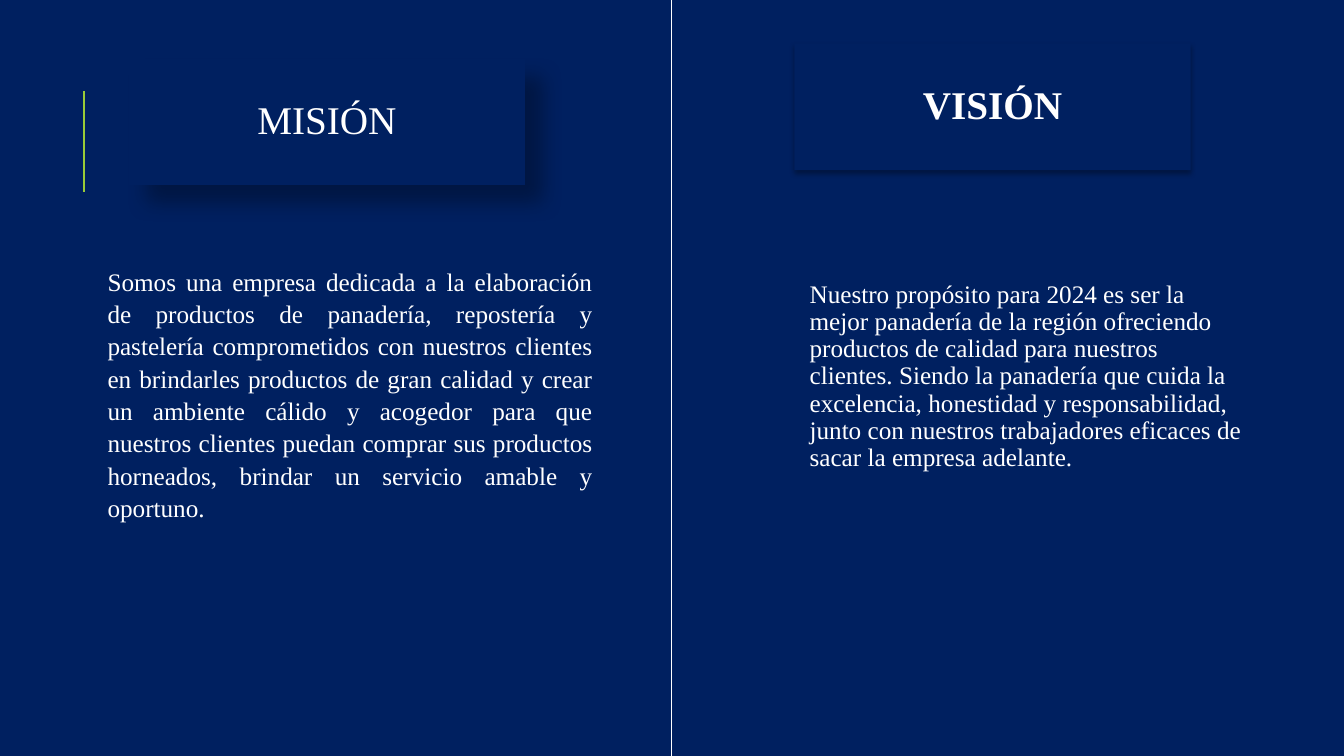
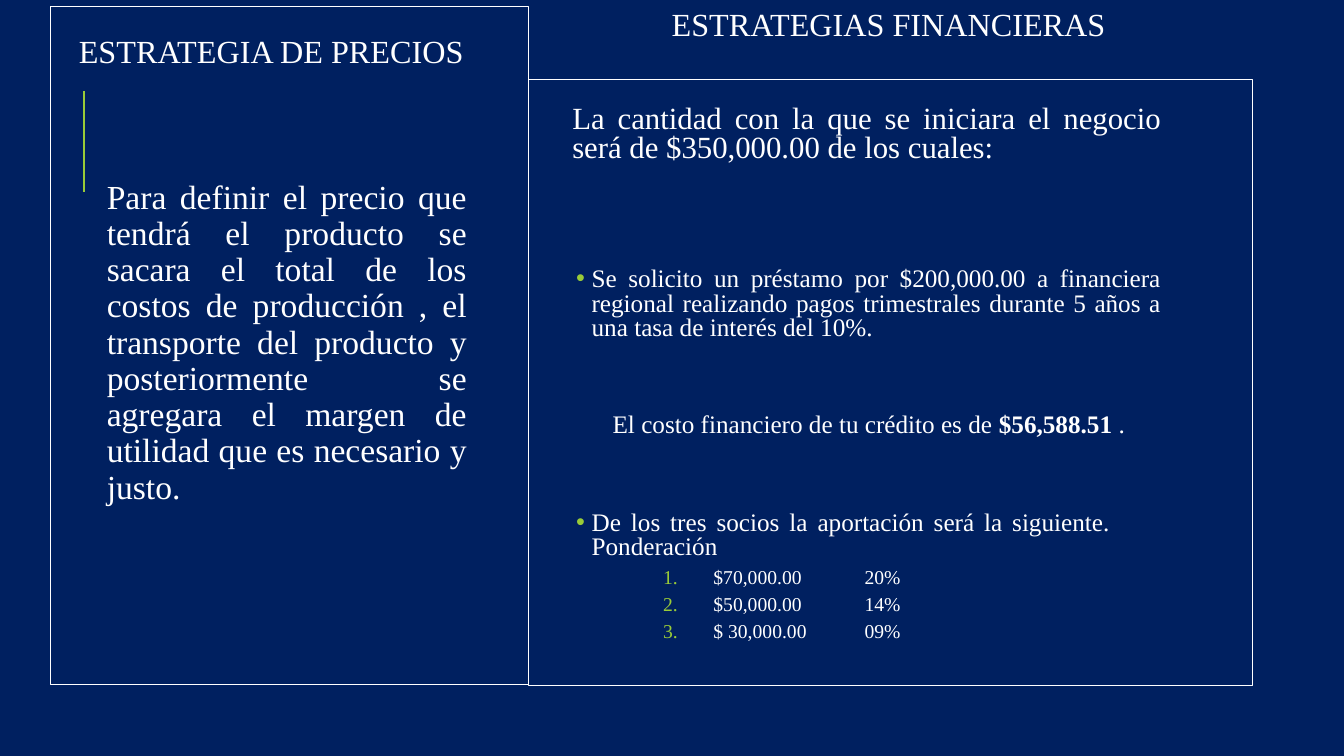
from lxml import etree
from pptx import Presentation
from pptx.dml.color import RGBColor
from pptx.enum.shapes import MSO_CONNECTOR, MSO_SHAPE
from pptx.enum.text import MSO_ANCHOR as ANCHOR, MSO_AUTO_SIZE, PP_ALIGN as ALIGN
from pptx.oxml.ns import qn
from pptx.util import Pt

NAVY, WHITE, GREEN, BLACK = "002060", "FFFFFF", "99CB38", "000000"
FONT = "Times New Roman"

# Content
MISSION = (
    "Somos una empresa dedicada a la elaboración de productos de panadería, "
    "repostería y pastelería comprometidos con nuestros clientes en brindarles "
    "productos de gran calidad y crear un ambiente cálido y acogedor para que "
    "nuestros clientes puedan comprar sus productos horneados, brindar un "
    "servicio amable y oportuno."
)
VISION = (
    "Nuestro propósito para 2024 es ser la mejor panadería de la región "
    "ofreciendo productos de calidad para nuestros clientes. Siendo la panadería "
    "que cuida la excelencia, honestidad y responsabilidad, junto con nuestros "
    "trabajadores eficaces de sacar la empresa adelante."
)
PRICING = (
    "Para definir el precio que tendrá el producto se sacara el total de los "
    "costos de producción , el transporte del producto y posteriormente se "
    "agregara el margen de utilidad que es necesario y justo."
)
FUNDS = "La cantidad con la que se iniciara el negocio será de $350,000.00 de los cuales:"
LOAN = (
    "Se solicito un préstamo por $200,000.00 a financiera regional realizando "
    "pagos trimestrales durante 5 años a una tasa de interés del 10%."
)
COST = [("El costo financiero de tu crédito es de ", False),
        ("$56,588.51 ", True), (".", False)]
PARTNERS = "De los tres socios la aportación será la siguiente.\t\tPonderación"
SHARES = [("$70,000.00", "20%"), ("$50,000.00", "14%"), ("$ 30,000.00", "09%")]

# Paragraph kinds: left margin, first-line indent, bullet
PLAIN = (0, 0, None)
LEAD = (7.2, 0, None)
BULLET = (21, -11, ("buChar", {"char": "•"}))
INSET = (36, 0, None)
NUMBERED = (108, -36, ("buAutoNum", {"type": "arabicPeriod"}))


def rgb(value):
    return RGBColor.from_string(value)


def set_shadow(shape, alpha, blur, distance, angle):
    effects = etree.SubElement(shape._element.spPr, qn("a:effectLst"))
    outer = etree.SubElement(
        effects, qn("a:outerShdw"), blurRad=str(Pt(blur)), dist=str(Pt(distance)),
        dir=str(angle * 60000), algn="ctr", rotWithShape="0")
    color = etree.SubElement(outer, qn("a:srgbClr"), val=BLACK)
    etree.SubElement(color, qn("a:alpha"), val=str(alpha * 1000))


def place(shape, box):
    shape.left, shape.top, shape.width, shape.height = map(Pt, box)


def set_frame(shape, anchor, side, edge=3.6):
    frame = shape.text_frame
    frame.word_wrap = True
    frame.auto_size = MSO_AUTO_SIZE.NONE
    frame.vertical_anchor = anchor
    frame.margin_left = frame.margin_right = Pt(side)
    frame.margin_top = frame.margin_bottom = Pt(edge)
    return frame


def write(paragraph, text, size, kind=PLAIN, align=ALIGN.LEFT, spacing=0.9,
          before=0, after=0, bold=False):
    margin, indent, bullet = kind
    paragraph.alignment = align
    paragraph.line_spacing = spacing
    paragraph.space_before, paragraph.space_after = Pt(before), Pt(after)
    props = paragraph._p.get_or_add_pPr()
    props.set("marL", str(Pt(margin)))
    props.set("indent", str(Pt(indent)))
    if bullet:
        color = etree.SubElement(props, qn("a:buClr"))
        etree.SubElement(color, qn("a:srgbClr"), val=GREEN)
        etree.SubElement(props, qn("a:buFont"), typeface="Arial" if kind is BULLET else FONT)
        etree.SubElement(props, qn(f"a:{bullet[0]}"), **bullet[1])
    else:
        etree.SubElement(props, qn("a:buNone"))
    for words, strong in [(text, bold)] if isinstance(text, str) else text:
        run = paragraph.add_run()
        run.text = words
        run.font.name, run.font.size, run.font.bold = FONT, Pt(size), strong
        run.font.color.rgb = rgb(WHITE)


def add_text(slide, box, paragraphs, anchor=ANCHOR.TOP, side=3.6):
    holder = slide.shapes.add_textbox(*map(Pt, box))
    frame = set_frame(holder, anchor, side)
    for i, (text, size, style) in enumerate(paragraphs):
        write(frame.add_paragraph() if i else frame.paragraphs[0], text, size, **style)


def add_line(slide, x, top, bottom, color, width):
    line = slide.shapes.add_connector(
        MSO_CONNECTOR.STRAIGHT, Pt(x), Pt(top), Pt(x), Pt(bottom))
    line.line.color.rgb, line.line.width = rgb(color), Pt(width)
    etree.SubElement(line._element.spPr, qn("a:effectLst"))


def add_frame(slide, box):
    border = slide.shapes.add_shape(MSO_SHAPE.RECTANGLE, *map(Pt, box))
    border.shadow.inherit = False
    border.fill.background()
    border.line.color.rgb, border.line.width = rgb(WHITE), Pt(0.75)


def style_card(card, box, text, bold, shadow):
    place(card, box)
    card.fill.solid()
    card.fill.fore_color.rgb = rgb(NAVY)
    card.line.fill.background()
    set_shadow(card, *shadow)
    frame = set_frame(card, ANCHOR.MIDDLE, 7.2)
    write(frame.paragraphs[0], text, 28, align=ALIGN.CENTER, bold=bold)


def new_slide(prs):
    slide = prs.slides.add_slide(prs.slide_layouts[5])
    add_line(slide, 60, 65, 137, GREEN, 1.5)
    return slide


def mission_and_vision(prs):
    slide = new_slide(prs)
    style_card(slide.shapes.title, (92, 42, 283, 90), "MISIÓN", False, (30, 15, 18, 45))
    vision_card = slide.shapes.add_shape(MSO_SHAPE.RECTANGLE, 0, 0, 0, 0)
    style_card(vision_card, (567.5, 31, 283, 90.5), "VISIÓN", True, (32, 3.5, 2.2, 90))
    add_line(slide, 480, 0, 540, WHITE, 0.75)
    add_text(slide, (66, 185, 361, 290),
             [(MISSION, 18, dict(kind=LEAD, align=ALIGN.JUSTIFY, spacing=1.07))])
    add_text(slide, (567.5, 197.5, 326, 290), [(VISION, 18, dict(kind=LEAD))])


def strategies(prs):
    slide = new_slide(prs)
    for box in [(36, 5, 341.5, 484), (377.5, 57, 517, 432.5)]:
        add_frame(slide, box)

    # Headings
    title = slide.shapes.title
    place(title, (45.5, 5.5, 406, 65))
    write(set_frame(title, ANCHOR.MIDDLE, 10.8).paragraphs[0], "ESTRATEGIA DE PRECIOS", 23)
    add_text(slide, (469, -14, 408, 65), [("ESTRATEGIAS FINANCIERAS", 23, {})],
             ANCHOR.MIDDLE, 10.8)

    # Pricing and financing
    add_text(slide, (65.5, 125, 271.5, 250),
             [(PRICING, 24, dict(kind=LEAD, align=ALIGN.JUSTIFY))])
    tight = dict(align=ALIGN.JUSTIFY, spacing=0.8, after=4)
    financing = [
        (FUNDS, 22, dict(tight, kind=LEAD)),
        (LOAN, 18, dict(tight, kind=BULLET, before=70)),
        (COST, 18, dict(tight, kind=INSET, before=48.5)),
        (PARTNERS, 18, dict(tight, kind=BULLET, before=48.5)),
    ]
    financing += [(f"{amount}\t\t{weight}", 14, dict(tight, kind=NUMBERED, before=2))
                  for amount, weight in SHARES]
    add_text(slide, (398, 72, 435, 417), financing)


def main():
    prs = Presentation()
    prs.slide_width, prs.slide_height = Pt(960), Pt(540)
    backdrop = prs.slide_master.background.fill
    backdrop.solid()
    backdrop.fore_color.rgb = rgb(NAVY)
    mission_and_vision(prs)
    strategies(prs)
    prs.save("out.pptx")


if __name__ == "__main__":
    main()
